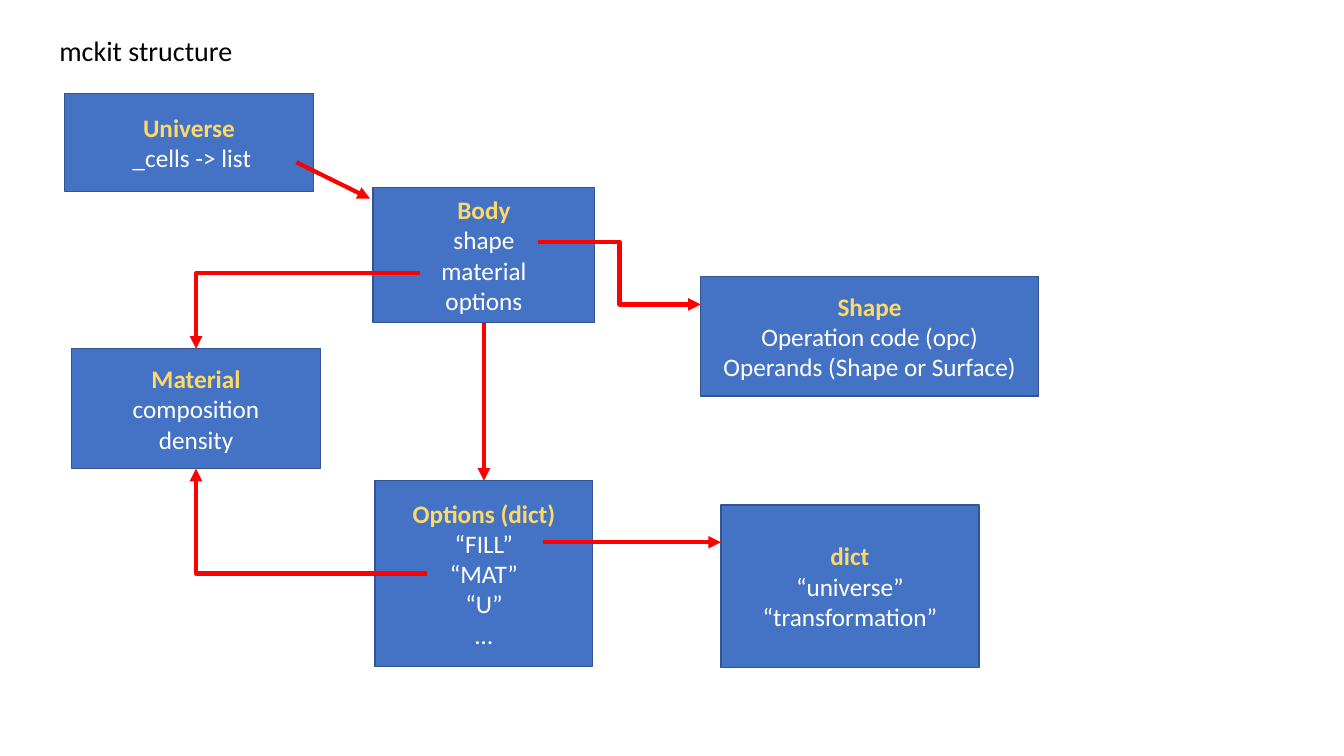
from dataclasses import dataclass
from typing import Optional

from pptx import Presentation
from pptx import util as u
from pptx.dml.color import RGBColor
from pptx.enum import shapes, text
from pptx.oxml import ns, xmlchemy

TOP, BOTTOM = 0, 2


@dataclass(frozen=True)
class Theme:
    font: str = "Calibri"
    title_size: int = 20
    body_size: int = 18
    line_width: float = 1
    arrow_width: float = 3
    title: RGBColor = RGBColor.from_string("000000")
    heading: RGBColor = RGBColor.from_string("FFD966")
    body: RGBColor = RGBColor.from_string("FFFFFF")
    fill: RGBColor = RGBColor.from_string("4472C4")
    outline: RGBColor = RGBColor.from_string("325491")
    arrow: RGBColor = RGBColor.from_string("FF0000")


@dataclass(frozen=True)
class ClassBox:
    heading: str
    members: tuple[str, ...]
    left: float
    top: float
    width: float
    height: float


@dataclass(frozen=True)
class Joint:
    box: str
    side: int


@dataclass(frozen=True)
class Arrow:
    start: tuple[float, float]
    end: tuple[float, float]
    preset: str = "line"
    begin_joint: Optional[Joint] = None
    end_joint: Optional[Joint] = None


THEME = Theme()

BOXES = (
    ClassBox("Universe", (" _cells -> list",), 0.64, 0.93, 2.47, 0.97),
    ClassBox("Body", ("shape", "material", "options"), 3.7, 1.86, 2.2, 1.34),
    ClassBox("Shape", ("Operation code (opc)", "Operands (Shape or Surface)"),
             6.95, 2.74, 3.35, 1.19),
    ClassBox("Material", ("composition", "density"), 0.71, 3.46, 2.47, 1.19),
    ClassBox("Options (dict)", ("“FILL”", "“MAT”", "“U”", "…"),
             3.72, 4.77, 2.16, 1.84),
    ClassBox("dict", ("“universe”", "“transformation”"), 7.15, 5.01, 2.56, 1.61),
)

ARROWS = (
    Arrow((2.94, 1.61), (3.67, 1.97)),
    Arrow((5.34, 2.4), (6.95, 3.02), "bentConnector3"),
    Arrow((4.17, 2.71), (1.94, 3.46), "bentConnector2",
          end_joint=Joint("Material", TOP)),
    Arrow((4.24, 5.69), (1.94, 4.65), "bentConnector2",
          end_joint=Joint("Material", BOTTOM)),
    Arrow((4.8, 3.2), (4.8, 4.77),
          begin_joint=Joint("Body", BOTTOM),
          end_joint=Joint("Options (dict)", TOP)),
    Arrow((5.39, 5.38), (7.15, 5.38)),
)


def style_font(para, size: int, color: RGBColor, bold: bool = False) -> None:
    font = para.font
    font.name = THEME.font
    font.size = u.Pt(size)
    font.bold = bold
    font.color.rgb = color


def draw_title(page, words: str) -> None:
    box = page.shapes.add_textbox(
        u.Inches(0.49), u.Inches(0.28), u.Inches(1.94), u.Inches(0.44))
    frame = box.text_frame
    frame.word_wrap = False
    frame.auto_size = text.MSO_AUTO_SIZE.SHAPE_TO_FIT_TEXT
    frame.text = words
    style_font(frame.paragraphs[0], THEME.title_size, THEME.title)


def draw_box(page, item: ClassBox):
    box = page.shapes.add_shape(
        shapes.MSO_SHAPE.RECTANGLE,
        u.Inches(item.left), u.Inches(item.top),
        u.Inches(item.width), u.Inches(item.height))
    box.shadow.inherit = False
    box.fill.solid()
    box.fill.fore_color.rgb = THEME.fill
    box.line.color.rgb = THEME.outline
    box.line.width = u.Pt(THEME.line_width)
    frame = box.text_frame
    frame.word_wrap = True
    frame.vertical_anchor = text.MSO_ANCHOR.MIDDLE
    frame.text = "\n".join((item.heading, *item.members))
    for index, para in enumerate(frame.paragraphs):
        para.alignment = text.PP_ALIGN.CENTER
        is_heading = index == 0
        color = THEME.heading if is_heading else THEME.body
        style_font(para, THEME.body_size, color, is_heading)
    return box


def draw_arrow(page, item: Arrow, boxes: dict) -> None:
    straight = item.preset == "line"
    kind = shapes.MSO_CONNECTOR.STRAIGHT if straight else shapes.MSO_CONNECTOR.ELBOW
    arrow = page.shapes.add_connector(
        kind, *(u.Inches(value) for value in item.start + item.end))
    if item.begin_joint:
        arrow.begin_connect(boxes[item.begin_joint.box], item.begin_joint.side)
    if item.end_joint:
        arrow.end_connect(boxes[item.end_joint.box], item.end_joint.side)
    arrow.line.color.rgb = THEME.arrow
    arrow.line.width = u.Pt(THEME.arrow_width)
    properties = arrow._element.spPr
    properties.find(ns.qn("a:prstGeom")).set("prst", item.preset)
    head = xmlchemy.OxmlElement("a:tailEnd")
    head.set("type", "triangle")
    properties.find(ns.qn("a:ln")).append(head)
    properties.append(xmlchemy.OxmlElement("a:effectLst"))


def main() -> None:
    deck = Presentation()
    deck.slide_width = u.Inches(13.33)
    deck.slide_height = u.Inches(7.5)
    page = deck.slides.add_slide(deck.slide_layouts[6])
    draw_title(page, "mckit structure")
    boxes = {item.heading: draw_box(page, item) for item in BOXES}
    for item in ARROWS:
        draw_arrow(page, item, boxes)
    deck.save("out.pptx")


if __name__ == "__main__":
    main()
